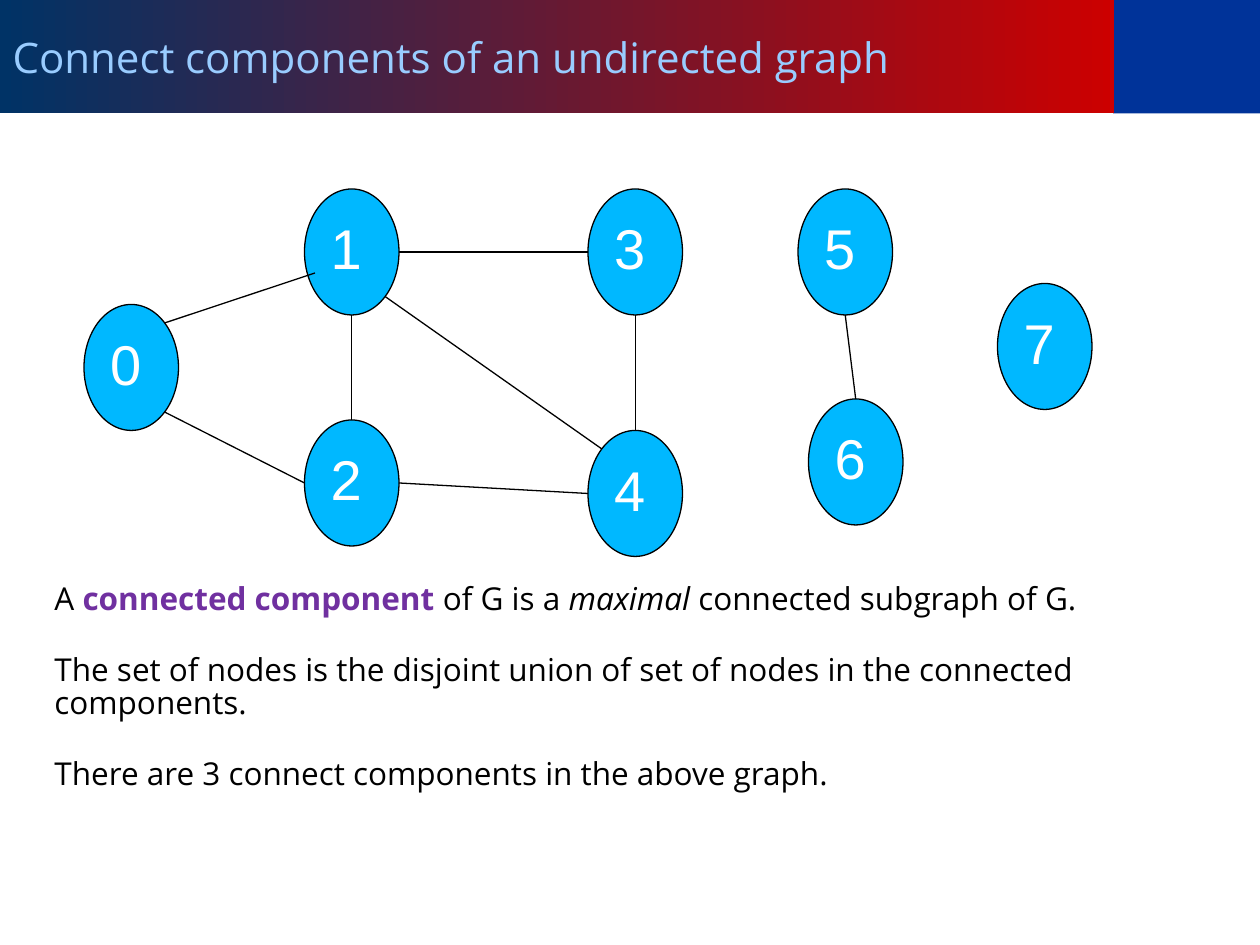
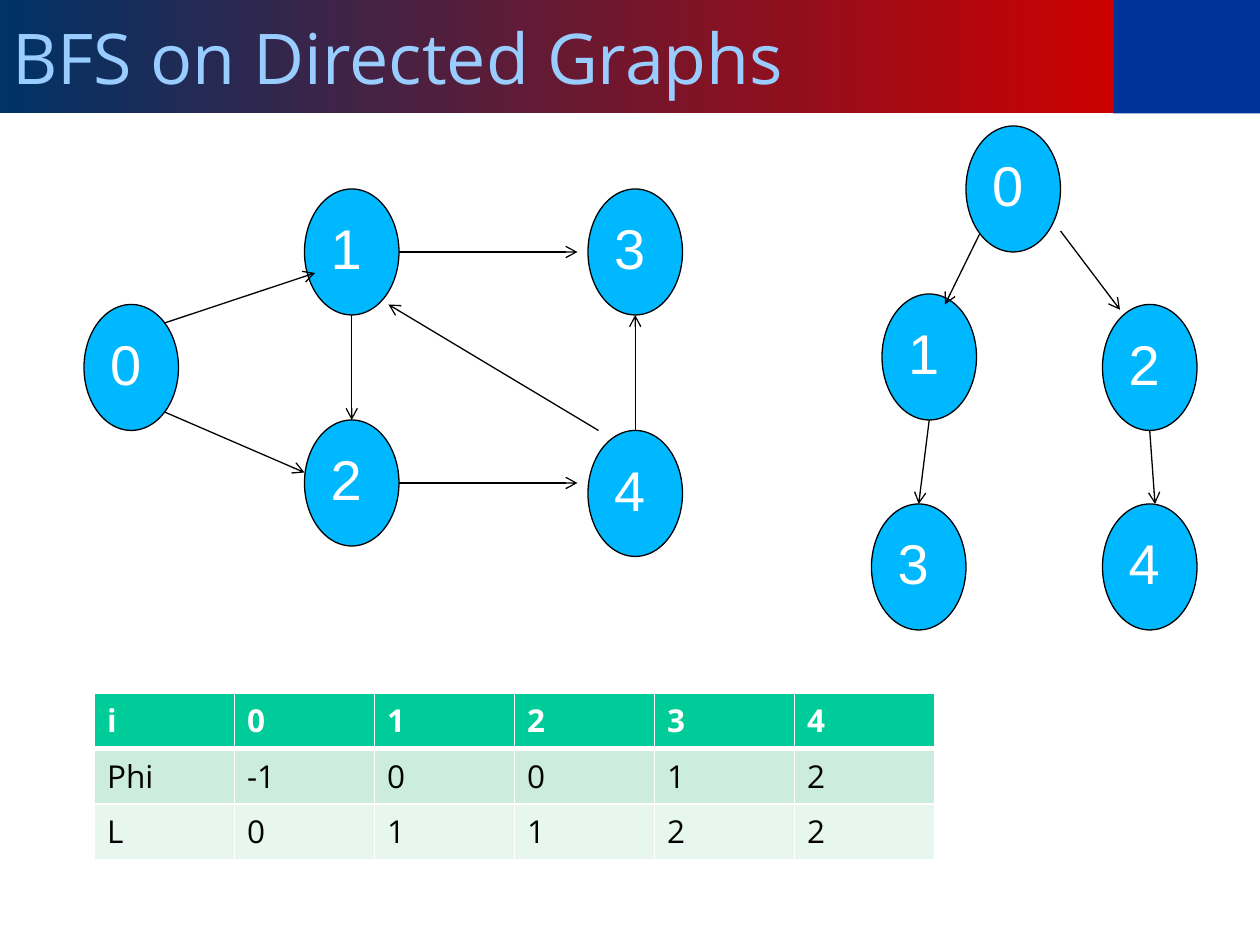
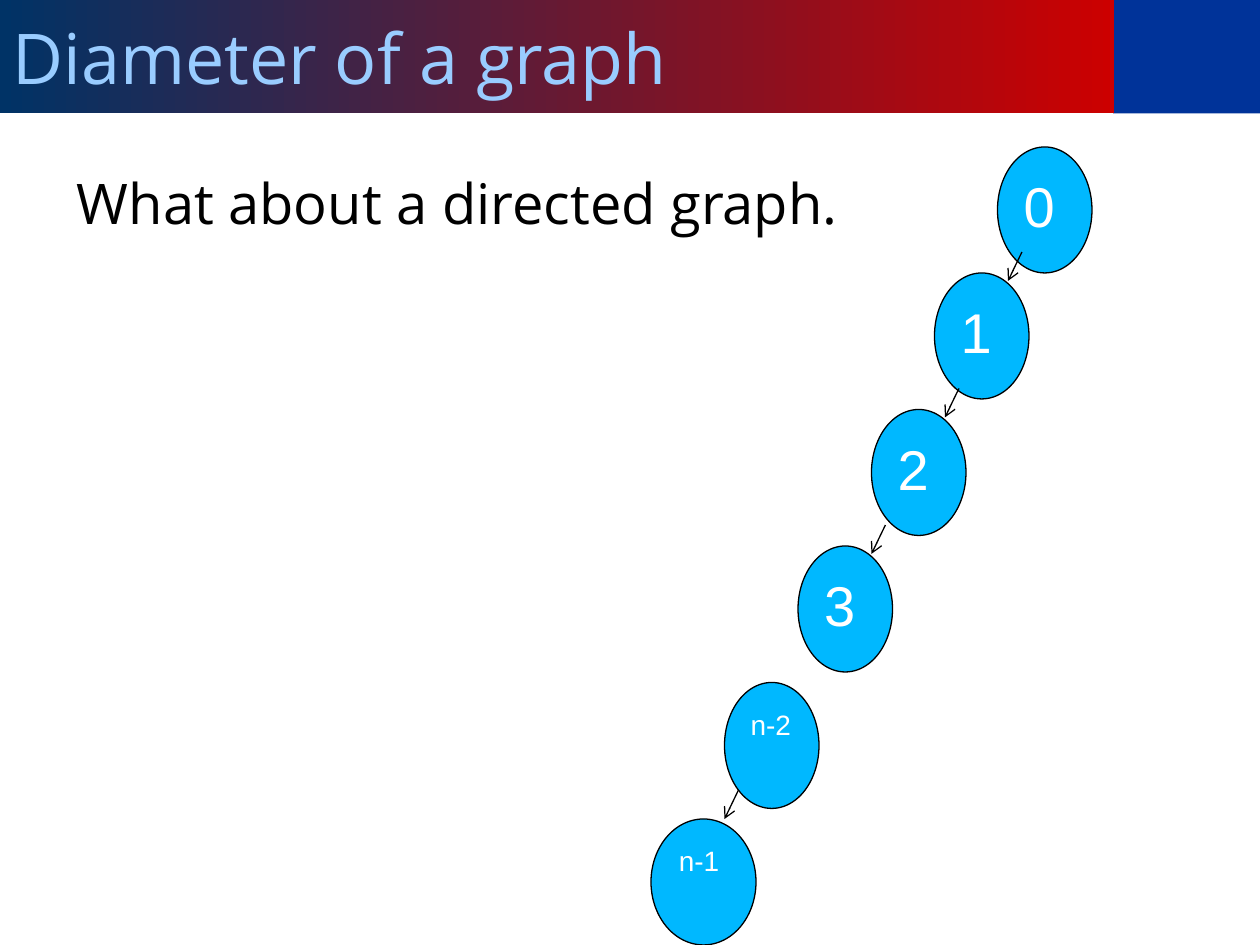
from dataclasses import dataclass
from math import cos, radians, sin
from typing import NamedTuple

from lxml.etree import SubElement
from pptx import Presentation
from pptx.dml.color import RGBColor
from pptx.enum.shapes import MSO_CONNECTOR, MSO_SHAPE
from pptx.enum.text import MSO_ANCHOR, MSO_AUTO_SIZE, PP_ALIGN
from pptx.oxml.ns import qn
from pptx.util import Inches, Pt

HUES = {
    "navy": "003399", "red": "CC0000", "dusk": "003366", "sky": "99CCFF",
    "node": "00B8FF", "ink": "000000", "paper": "FFFFFF", "term": "7030A0",
    "head": "00CC99", "mint": "CCECDE", "pale": "E7F6EF",
}
SANS, ARIAL = "Open Sans", "Arial"
COLS, ROWS = 120, 90          # the grid that covers each slide
WIDE, HIGH = Inches(10), Inches(7.5)
BAND = 10.8                   # rows under the title band
SIDES = {"e": 0, "se": 45, "s": 90, "sw": 135,
         "w": 180, "nw": 225, "n": 270, "ne": 315}


class Spot(NamedTuple):
    """A point on the grid."""
    col: float
    row: float


@dataclass(frozen=True)
class Node:
    """A graph node, placed by the top left of its ellipse."""
    name: str
    col: float
    row: float
    cols: float = 9
    size: int = 32
    rows: float = 12

    def at(self, side: str) -> Spot:
        """Give the point of the outline on a compass side."""
        turn = radians(SIDES[side])
        return Spot(self.col + self.cols / 2 * (1 + cos(turn)),
                    self.row + self.rows / 2 * (1 + sin(turn)))


Edge = tuple[Spot, Spot]


def hue(name: str) -> RGBColor:
    """Look up a colour."""
    return RGBColor.from_string(HUES[name])


def across(cols: float) -> int:
    """Turn grid columns into a length."""
    return round(WIDE * cols / COLS)


def down(rows: float) -> int:
    """Turn grid rows into a length."""
    return round(HIGH * rows / ROWS)


def place(shape, col: float, row: float, cols: float, rows: float) -> None:
    """Move a shape to its place on the grid."""
    shape.left, shape.top = across(col), down(row)
    shape.width, shape.height = across(cols), down(rows)


def style(para, face: str, size: int, tone: str, bold: bool = False) -> None:
    """Set the font of a paragraph."""
    font = para.font
    font.name, font.size, font.bold = face, Pt(size), bold
    font.color.rgb = hue(tone)


def add_band(deck, slide) -> None:
    """Put the blue end of the title band on the slide master."""
    band = slide.shapes.add_shape(MSO_SHAPE.RECTANGLE, 0, 0, 0, 0)
    place(band, 106, 0, COLS - 106, BAND)
    band.shadow.inherit = False
    band.fill.solid()
    band.fill.fore_color.rgb = hue("navy")
    band.line.fill.background()
    deck.slide_master.shapes.element.append(band.element)


def add_slide(deck, layout: int, text: str, size: int = 40):
    """Add a slide with its title on the shaded band."""
    slide = deck.slides.add_slide(deck.slide_layouts[layout])
    title = slide.shapes.title
    place(title, 0, 0, 106.08, BAND)
    title.fill.gradient()
    title.fill.gradient_angle = 180
    for stop, tone in zip(title.fill.gradient_stops, ("red", "dusk")):
        stop.color.rgb = hue(tone)
    frame = title.text_frame
    frame.text = text
    frame.auto_size = MSO_AUTO_SIZE.NONE
    frame.vertical_anchor = MSO_ANCHOR.MIDDLE
    frame.paragraphs[0].alignment = PP_ALIGN.LEFT
    style(frame.paragraphs[0], SANS, size, "sky")
    return slide


def add_node(slide, node: Node) -> None:
    """Draw one node with its name."""
    oval = slide.shapes.add_shape(MSO_SHAPE.OVAL, 0, 0, 0, 0)
    place(oval, node.col, node.row, node.cols, node.rows)
    oval.shadow.inherit = False
    oval.fill.solid()
    oval.fill.fore_color.rgb = hue("node")
    oval.line.color.rgb = hue("ink")
    oval.line.width = Pt(0.75)
    frame = oval.text_frame
    frame.text = node.name
    frame.vertical_anchor = MSO_ANCHOR.TOP
    frame.paragraphs[0].alignment = PP_ALIGN.LEFT
    style(frame.paragraphs[0], ARIAL, node.size, "paper")


def add_edge(slide, edge: Edge, arrow: bool) -> None:
    """Draw one edge, with an arrowhead if it is directed."""
    start, end = edge
    line = slide.shapes.add_connector(
        MSO_CONNECTOR.STRAIGHT, across(start.col), down(start.row),
        across(end.col), down(end.row))
    line.line.color.rgb = hue("ink")
    line.line.width = Pt(0.75)
    if arrow:
        SubElement(line.line._get_or_add_ln(), qn("a:tailEnd"), type="arrow")
    SubElement(line.element.spPr, qn("a:effectLst"))


def add_graph(slide, nodes: list[Node], edges: list[Edge],
              arrow: bool = True) -> None:
    """Draw nodes, then the edges over them."""
    for node in nodes:
        add_node(slide, node)
    for edge in edges:
        add_edge(slide, edge, arrow)


def add_notes(slide) -> None:
    """Write the definition of a connected component."""
    box = slide.shapes.add_textbox(0, 0, 0, 0)
    place(box, 4, 55, 112, 23)
    frame = box.text_frame
    frame.word_wrap = True
    frame.auto_size = MSO_AUTO_SIZE.SHAPE_TO_FIT_TEXT
    lines = [
        ["A ", "connected component ", "of G is a ", "maximal",
         " connected subgraph of G."],
        ["The set of nodes is the disjoint union of set of nodes "
         "in the connected components."],
        ["There are 3 connect components in the above graph."],
    ]
    for i, parts in enumerate(lines):
        para = frame.add_paragraph() if i else frame.paragraphs[0]
        style(para, SANS, 18, "ink")
        para.line_spacing = 0.88
        para.space_before = Pt(21.6 if i else 0)
        for part in parts:
            para.add_run().text = part
    term, word = frame.paragraphs[0].runs[1], frame.paragraphs[0].runs[3]
    term.font.bold, word.font.italic = True, True
    term.font.color.rgb = hue("term")


def add_edges(cell, foot: float) -> None:
    """Give a cell white borders, the lower one of its own width."""
    props = cell._tc.get_or_add_tcPr()
    for i, (side, width) in enumerate(
            (("lnL", 1), ("lnR", 1), ("lnT", 1), ("lnB", foot))):
        line = props.makeelement(qn(f"a:{side}"), {"w": str(Pt(width))})
        fill = SubElement(line, qn("a:solidFill"))
        SubElement(fill, qn("a:srgbClr"), val=HUES["paper"])
        props.insert(i, line)


def add_grid(slide) -> None:
    """Draw the table of parents and levels."""
    data = ["i 0 1 2 3 4", "Phi -1 0 0 1 2", "L 0 1 1 2 2"]
    rows = [line.split() for line in data]
    tones = ["head", "mint", "pale"]
    table = slide.shapes.add_table(
        len(rows), len(rows[0]), across(9), down(66),
        across(80), down(15)).table
    for r, (row, tone) in enumerate(zip(rows, tones)):
        table.rows[r].height = down(5)
        for c, text in enumerate(row):
            cell = table.cell(r, c)
            cell.text = text
            cell.fill.solid()
            cell.fill.fore_color.rgb = hue(tone)
            style(cell.text_frame.paragraphs[0], SANS, 18,
                  "ink" if r else "paper", not r)
            add_edges(cell, 1 if r else 3)


def add_body(slide, text: str) -> None:
    """Fill the body placeholder with one plain line."""
    body = slide.placeholders[1]
    place(body, 6, 16, 108, 64.4)
    frame = body.text_frame
    frame.text = text
    frame.auto_size = MSO_AUTO_SIZE.NONE
    para = frame.paragraphs[0]
    para.alignment = PP_ALIGN.JUSTIFY
    para.line_spacing = 0.93
    para.space_before = Pt(8)
    style(para, SANS, 32, "ink")
    props = para._p.get_or_add_pPr()
    props.set("marL", str(Inches(0.38)))
    props.set("indent", str(-Inches(0.37)))
    SubElement(props, qn("a:buNone"))
    props.append(props.find(qn("a:defRPr")))


deck = Presentation()
deck.slide_width, deck.slide_height = WIDE, HIGH

main = [Node("4", 56, 41), Node("3", 56, 18), Node("2", 29, 40),
        Node("1", 29, 18), Node("0", 8, 29)]
four, three, two, one, zero = main
shared = [(zero.at("ne"), Spot(30, 26)), (one.at("s"), two.at("n"))]

# Components of an undirected graph
slide = add_slide(deck, 5, "Connect components of an undirected graph ", 24)
add_band(deck, slide)
five, six, seven = Node("5", 76, 18), Node("6", 77, 38), Node("7", 95, 27)
add_graph(slide, main, shared + [
    (zero.at("se"), two.at("w")),
    (three.at("s"), four.at("n")),
    (one.at("e"), three.at("w")),
    (two.at("e"), four.at("w")),
    (one.at("se"), four.at("nw")),
], arrow=False)
add_notes(slide)
add_graph(slide, [five, seven, six], [(five.at("s"), six.at("n"))],
          arrow=False)

# Directed graph, its search tree and table
slide = add_slide(deck, 5, "BFS on Directed Graphs ")
add_graph(slide, main, shared + [
    (zero.at("se"), Spot(29, 45)),
    (one.at("e"), Spot(55, 24)),
    (two.at("e"), Spot(55, 46)),
    (Spot(57, 41), Spot(37, 29)),
    (four.at("n"), three.at("s")),
])
add_grid(slide)
tree = [Node("0", 92, 12), Node("1", 84, 28), Node("2", 105, 29),
        Node("3", 83, 48), Node("4", 105, 48)]
root, left, right, leaf, _ = tree
add_graph(slide, tree, [
    (root.at("sw"), Spot(90, 29)),
    (left.at("s"), leaf.at("n")),
    (Spot(101, 22), Spot(106.67, 29.5)),
    (right.at("s"), Spot(110, 48)),
])

# Chain with the largest diameter
slide = add_slide(deck, 1, "Diameter of a graph")
add_body(slide, "What about a directed graph.")
chain = [Node("n-1", 62, 78, 10, 16), Node("n-2", 69, 65, size=16),
         Node("3", 76, 52), Node("2", 83, 39), Node("1", 89, 26),
         Node("0", 95, 14)]
tips = [Spot(69, 78), Spot(83, 52.75), Spot(96, 26.75), Spot(90, 39.75)]
add_graph(slide, chain, [(Spot(tip.col + 1.33, tip.row - 2.75), tip)
                         for tip in tips])

deck.save("out.pptx")
